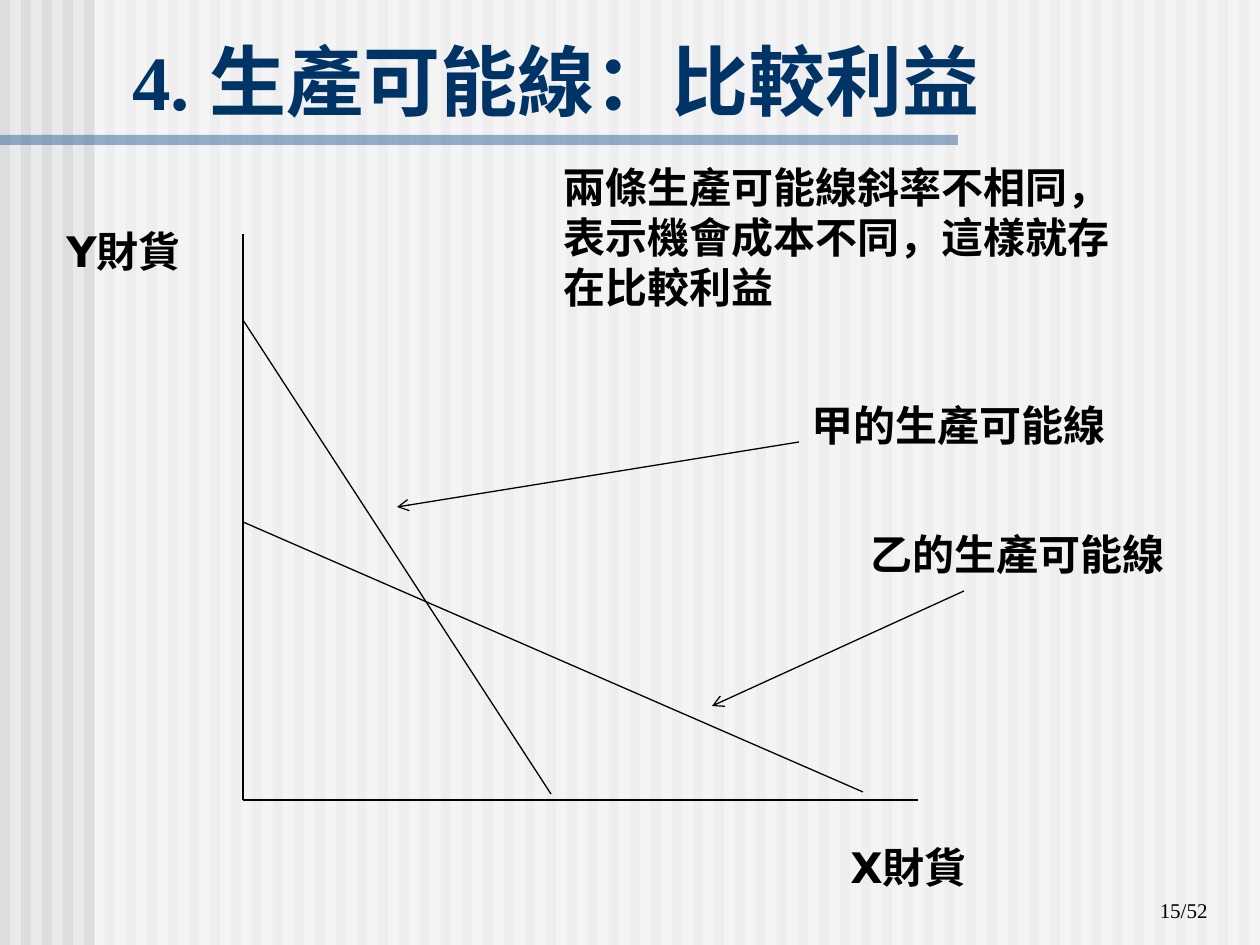
from lxml import etree
from pptx import Presentation
from pptx.dml.color import RGBColor
from pptx.enum.shapes import MSO_CONNECTOR, MSO_SHAPE
from pptx.enum.text import MSO_ANCHOR, PP_ALIGN
from pptx.oxml.ns import qn
from pptx.util import Emu, Pt

STRAIGHT = MSO_CONNECTOR.STRAIGHT
RECTANGLE = MSO_SHAPE.RECTANGLE
TOP, BOTTOM = MSO_ANCHOR.TOP, MSO_ANCHOR.BOTTOM
LEFT, RIGHT = PP_ALIGN.LEFT, PP_ALIGN.RIGHT

BACKGROUND = RGBColor(0xEA, 0xEA, 0xEA)
STRIPE = RGBColor(0xDD, 0xDD, 0xDD)
WHITE = RGBColor(0xFF, 0xFF, 0xFF)
RULE_BLUE = RGBColor(0x33, 0x66, 0x99)
TITLE_BLUE = RGBColor(0x00, 0x33, 0x66)
BLACK = RGBColor(0x00, 0x00, 0x00)
SERIF, SANS = "Times New Roman", "DejaVu Sans"

WIDTH, HEIGHT = 1260, 945
STRIPE_COUNT, STRIPE_STEP, STRIPE_WIDTH = 60, 21, 10
VEIL = (95, 0, 1166, 945)
TITLE_RULE = (0, 135, 958, 10)

TITLE = ("4. 生產可能線：比較利益", (120, 26, 1125, 106))
PAGE_NUMBER = ("15/52", (958, 866, 262, 63))
LABELS = [
    ("兩條生產可能線斜率不相同，表示機會成本不同，這樣就存在比較利益", (551, 155, 576, 165)),
    ("Y財貨", (54, 219, 169, 63)),
    ("X財貨", (838, 835, 169, 63)),
    ("甲的生產可能線", (799, 393, 348, 63)),
    ("乙的生產可能線", (858, 522, 348, 63)),
]

ORIGIN = (243, 800)
AXES = [((243, 234), ORIGIN), (ORIGIN, (918, 800))]
FRONTIERS = [((243, 320), (551, 794)), ((243, 522), (863, 792))]
POINTERS = [((964, 591), (712, 706)), ((799, 442), (397, 507))]


def px(length):
    return Emu(round(length * 914400 / 126))


def add_bar(page, place, color, alpha=None):
    bar = page.shapes.add_shape(RECTANGLE, *map(px, place))
    bar.shadow.inherit = False
    bar.line.fill.background()
    bar.fill.solid()
    bar.fill.fore_color.rgb = color
    if alpha is not None:
        tone = bar.fill._xPr.find(qn("a:solidFill"))[0]
        etree.SubElement(tone, qn("a:alpha"), val=str(alpha * 1000))


def add_text(page, words, place, font, size, color=BLACK, bold=False, anchor=TOP, align=LEFT):
    box = page.shapes.add_textbox(*map(px, place))
    frame = box.text_frame
    frame.word_wrap = True
    frame.vertical_anchor = anchor
    para = frame.paragraphs[0]
    para.text = words
    para.alignment = align
    para.font.name = font
    para.font.size = Pt(size)
    para.font.bold = bold
    para.font.color.rgb = color


def add_line(page, start, end, arrow=False):
    line = page.shapes.add_connector(STRAIGHT, *map(px, start + end))
    line.line.width = Pt(0.75)
    line.line.color.rgb = BLACK
    if arrow:
        etree.SubElement(line.line._get_or_add_ln(), qn("a:tailEnd"), type="arrow")
    etree.SubElement(line._element.spPr, qn("a:effectLst"))


def main():
    deck = Presentation()
    deck.slide_width, deck.slide_height = px(WIDTH), px(HEIGHT)
    page = deck.slides.add_slide(deck.slide_layouts[6])
    page.background.fill.solid()
    page.background.fill.fore_color.rgb = BACKGROUND

    for index in range(STRIPE_COUNT):
        add_bar(page, (index * STRIPE_STEP, 0, STRIPE_WIDTH, HEIGHT), STRIPE)
    add_bar(page, VEIL, WHITE, 50)
    add_bar(page, TITLE_RULE, RULE_BLUE, 50)

    add_text(page, *PAGE_NUMBER, SERIF, 12, anchor=BOTTOM, align=RIGHT)
    add_text(page, *TITLE, SERIF, 44, TITLE_BLUE, bold=True, anchor=BOTTOM)
    for start, end in AXES + FRONTIERS:
        add_line(page, start, end)
    for start, end in POINTERS:
        add_line(page, start, end, arrow=True)
    for words, place in LABELS:
        add_text(page, words, place, SANS, 24, bold=True)

    deck.save("out.pptx")


if __name__ == "__main__":
    main()
